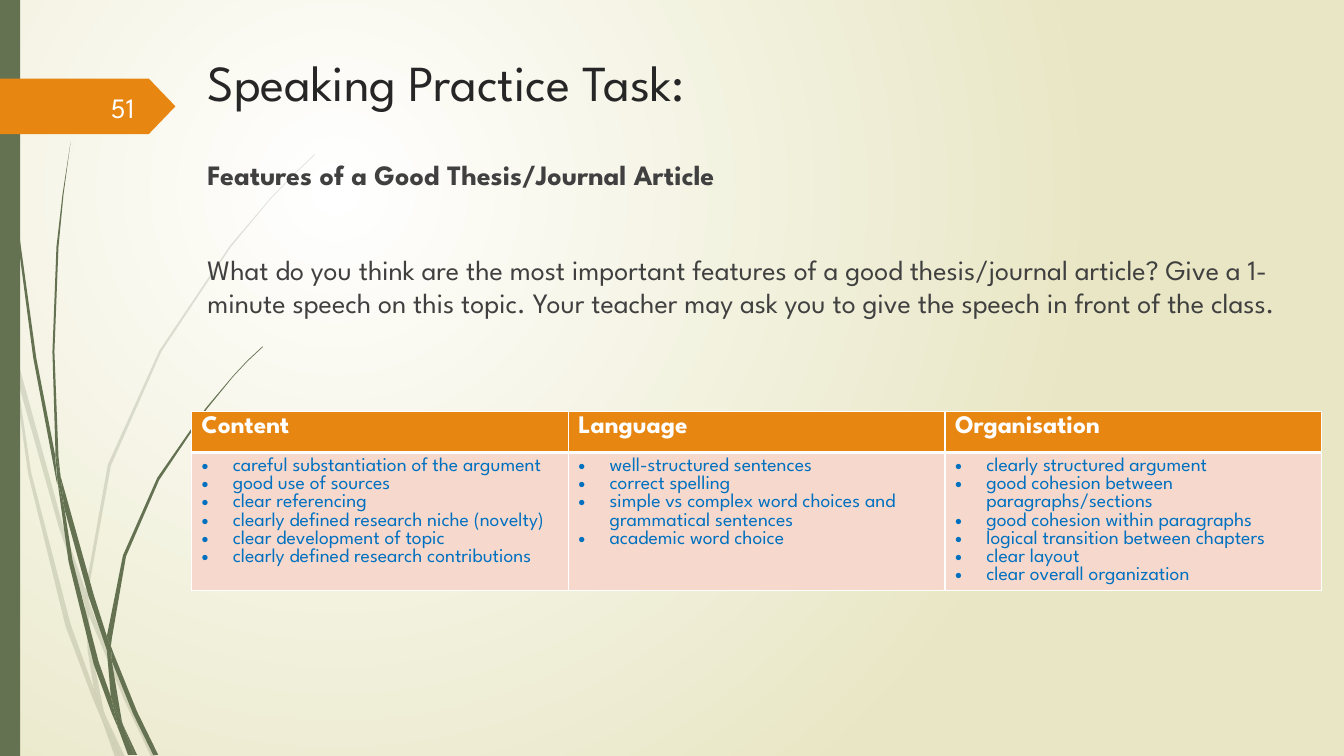
from lxml import etree
from pptx import Presentation
from pptx.dml.color import RGBColor
from pptx.enum.shapes import MSO_SHAPE
from pptx.enum.text import MSO_ANCHOR, MSO_AUTO_SIZE, PP_ALIGN
from pptx.oxml import parse_xml
from pptx.oxml.ns import nsdecls, qn
from pptx.util import Emu, Pt

RECTANGLE, PENTAGON = MSO_SHAPE.RECTANGLE, MSO_SHAPE.PENTAGON
TOP, MIDDLE = MSO_ANCHOR.TOP, MSO_ANCHOR.MIDDLE
LEFT, RIGHT = PP_ALIGN.LEFT, PP_ALIGN.RIGHT
NO_AUTOFIT = MSO_AUTO_SIZE.NONE
FONT = "League Spartan"
EMU_PER_PX = 9144
COLORS = {
    "green": "647252", "orange": "E78712", "white": "FFFFFF", "beige": "E8E6C4",
    "title": "262626", "body": "404040", "number": "FEFFFF", "blue": "0070C0", "pink": "F6D9CC",
}
FAINT_BLADES = [
    [(11, 350), (9, 322), (0, 282), (0, 299), (10, 344)],
    [(58, 522), (84, 599), (85, 586), (62, 520), (14, 345), (17, 376)],
    [(92, 607), (88, 596), (88, 610), (123, 694), (150, 751), (155, 751), (127, 692)],
    [(119, 751), (124, 751), (105, 711)],
    [(93, 683), (70, 619), (31, 469), (17, 376), (11, 350), (28, 470), (65, 621), (92, 693),
     (101, 714), (99, 707)],
    [(84, 599), (87, 646), (93, 683), (96, 692), (105, 711), (103, 706), (91, 646), (88, 610),
     (88, 608)],
    [(88, 584), (110, 462), (160, 349), (229, 245), (268, 198), (290, 175), (312, 154),
     (312, 153), (289, 175), (268, 197), (228, 244), (158, 348), (107, 461), (85, 584),
     (85, 586), (88, 596)],
    [(101, 714), (114, 751), (119, 751)],
    [(88, 608), (88, 610), (88, 596), (85, 586), (84, 599)],
    [(96, 692), (93, 683), (99, 707), (101, 714), (119, 751), (105, 711)],
]
DARK_BLADES = [
    [(7, 110), (17, 233), (33, 355), (56, 477), (57, 481), (55, 457), (55, 453), (36, 355),
     (19, 232), (8, 109), (5, 48), (4, 0), (3, 0), (4, 48)],
    [(88, 592), (106, 645), (106, 633), (106, 631), (93, 590), (60, 472), (64, 505)],
    [(113, 649), (110, 641), (111, 656), (132, 708), (152, 749), (157, 749), (136, 706)],
    [(110, 691), (98, 657), (72, 556), (64, 505), (57, 477), (68, 557), (93, 659), (111, 708),
     (117, 722), (116, 717)],
    [(60, 472), (58, 453), (54, 349), (58, 245), (63, 193), (70, 141), (62, 193), (56, 245),
     (52, 349), (55, 449)],
    [(133, 749), (136, 749), (122, 719)],
    [(57, 477), (64, 505), (60, 472), (55, 449), (55, 453)],
    [(111, 633), (125, 552), (158, 476), (205, 406), (231, 374), (245, 359), (261, 344),
     (260, 344), (245, 358), (231, 373), (204, 405), (156, 474), (122, 551), (106, 631),
     (110, 641)],
    [(117, 722), (127, 749), (131, 749)],
    [(106, 645), (110, 691), (116, 706), (122, 719), (121, 716), (111, 656), (109, 651)],
    [(106, 645), (109, 651), (111, 656), (110, 641), (106, 631), (106, 633)],
    [(116, 706), (110, 691), (116, 717), (117, 722), (130, 749), (133, 749), (122, 719)],
]
FEATURES = {
    "Content": [
        "careful substantiation of the argument", "good use of sources", "clear referencing",
        "clearly defined research niche (novelty)", "clear development of topic",
        "clearly defined research contributions"],
    "Language": [
        "well-structured sentences", "correct spelling",
        "simple vs complex word choices and grammatical sentences", "academic word choice"],
    "Organisation": [
        "clearly structured argument", "good cohesion between paragraphs/sections",
        "good cohesion within paragraphs", "logical transition between chapters",
        "clear layout", "clear overall organization"],
}
HEADING = "Features of a Good Thesis/Journal Article"
TASK = ("What do you think are the most important features of a good thesis/journal article? "
        "Give a 1-minute speech on this topic. Your teacher may ask you to give the speech "
        "in front of the class.")


def px(*lengths):
    """Turn px into a list of EMU lengths."""
    return [Emu(length * EMU_PER_PX) for length in lengths]


def paint(fill, name):
    """Make a fill solid in a named colour."""
    fill.solid()
    fill.fore_color.rgb = RGBColor.from_string(COLORS[name])


def write(paragraph, text, size, name, line, bold=False, align=LEFT):
    """Fill and format one paragraph with a line height in points."""
    paragraph.text = text
    paragraph.alignment = align
    paragraph.line_spacing = Pt(line)
    for run in paragraph.runs:
        run.font.name, run.font.size, run.font.bold = FONT, Pt(size), bold
        run.font.color.rgb = RGBColor.from_string(COLORS[name])


def paint_shape(shape, name):
    """Give a shape a plain fill with no line or shadow."""
    shape.shadow.inherit = False
    paint(shape.fill, name)
    shape.line.fill.background()


def set_background(slide):
    """Fill the background with a circular gradient."""
    fill = slide.background.fill
    fill.gradient()
    for stop, name, position in zip(fill.gradient_stops, ("white", "beige"), (0, 1)):
        stop.color.rgb = RGBColor.from_string(COLORS[name])
        stop.position = position
    gradient = slide.background._cSld.find(".//" + qn("a:gradFill"))
    gradient.remove(gradient.find(qn("a:lin")))
    gradient.append(parse_xml(
        f'<a:path {nsdecls("a")} path="circle">'
        '<a:fillToRect l="50000" t="50000" r="100000" b="100000"/></a:path>'))


def add_blades(slide, blades, faint=False):
    """Draw the pieces of the grass stems."""
    for outline in blades:
        builder = slide.shapes.build_freeform(*outline[0], scale=EMU_PER_PX)
        builder.add_line_segments(outline[1:], close=True)
        blade = builder.convert_to_shape()
        paint_shape(blade, "green")
        if faint:
            tint = blade._element.spPr.find(".//" + qn("a:srgbClr"))
            etree.SubElement(tint, qn("a:alpha"), val="20000")


def add_side_bar(slide, width, height):
    """Draw the side bar and the numbered tag."""
    bar = slide.shapes.add_shape(RECTANGLE, *px(0, 0, width, height))
    paint_shape(bar, "green")
    tag = slide.shapes.add_shape(PENTAGON, *px(0, 78, 174, 55))
    tag.adjustments[0] = 0.48
    paint_shape(tag, "orange")
    frame = slide.shapes.add_textbox(*px(58, 86, 85, 40)).text_frame
    frame.word_wrap = True
    frame.vertical_anchor = MIDDLE
    write(frame.paragraphs[0], "51", 20, "number", 24, align=RIGHT)


def add_title(slide, *box):
    """Place and format the title."""
    title = slide.shapes.title
    title.left, title.top, title.width, title.height = px(*box)
    title.text_frame.auto_size = NO_AUTOFIT
    title.text_frame.vertical_anchor = TOP
    write(title.text_frame.paragraphs[0], "Speaking Practice Task:", 36, "title", 44)


def add_body(slide, *box):
    """Write the heading and the task."""
    frame = slide.shapes.add_textbox(*px(*box)).text_frame
    frame.word_wrap = True
    write(frame.paragraphs[0], HEADING, 20, "body", 24, bold=True)
    task = frame.add_paragraph()
    write(task, TASK, 20, "body", 24)
    task.space_before = Pt(44)


def format_cell(cell, fill, top, bottom):
    """Fill a cell and draw its white borders."""
    paint(cell.fill, fill)
    borders = {"lnL": 1, "lnR": 1, "lnT": top, "lnB": bottom}
    for index, (tag, points) in enumerate(borders.items()):
        cell._tc.get_or_add_tcPr().insert(index, parse_xml(
            f'<a:{tag} {nsdecls("a")} w="{Pt(points)}"><a:solidFill>'
            f'<a:srgbClr val="{COLORS["white"]}"/></a:solidFill></a:{tag}>'))


def add_bullet(paragraph, indent):
    """Give a paragraph a hanging round bullet."""
    properties = paragraph._p.get_or_add_pPr()
    properties.set("marL", str(indent))
    properties.set("indent", str(-indent))
    etree.SubElement(properties, qn("a:buFont"), typeface="Arial")
    etree.SubElement(properties, qn("a:buChar"), char="•")


def add_features_table(slide, *box):
    """Add the table of features, one column per heading."""
    frame = slide.shapes.add_table(2, len(FEATURES), *px(*box))
    for row in frame.table.rows:
        row.height, = px(41)
    frame.height = px(*box)[3]
    for column, (heading, items) in enumerate(FEATURES.items()):
        header, cell = frame.table.cell(0, column), frame.table.cell(1, column)
        format_cell(header, "orange", 1, 3)
        format_cell(cell, "pink", 3, 1)
        write(header.text_frame.paragraphs[0], heading, 18, "white", 16.5, bold=True)
        for index, item in enumerate(items):
            text = cell.text_frame
            paragraph = text.add_paragraph() if index else text.paragraphs[0]
            add_bullet(paragraph, *px(31))
            write(paragraph, item, 14, "blue", 13)


def main():
    """Build and save the slide."""
    presentation = Presentation()
    presentation.slide_width, presentation.slide_height = px(1333, 750)
    slide = presentation.slides.add_slide(presentation.slide_layouts[5])
    set_background(slide)
    add_blades(slide, FAINT_BLADES, faint=True)
    add_blades(slide, DARK_BLADES)
    add_side_bar(slide, 20, 750)
    add_title(slide, 196, 45, 975, 140)
    add_body(slide, 196, 151, 1107, 553)
    add_features_table(slide, 190, 408, 1121, 261)
    presentation.save("out.pptx")


if __name__ == "__main__":
    main()
